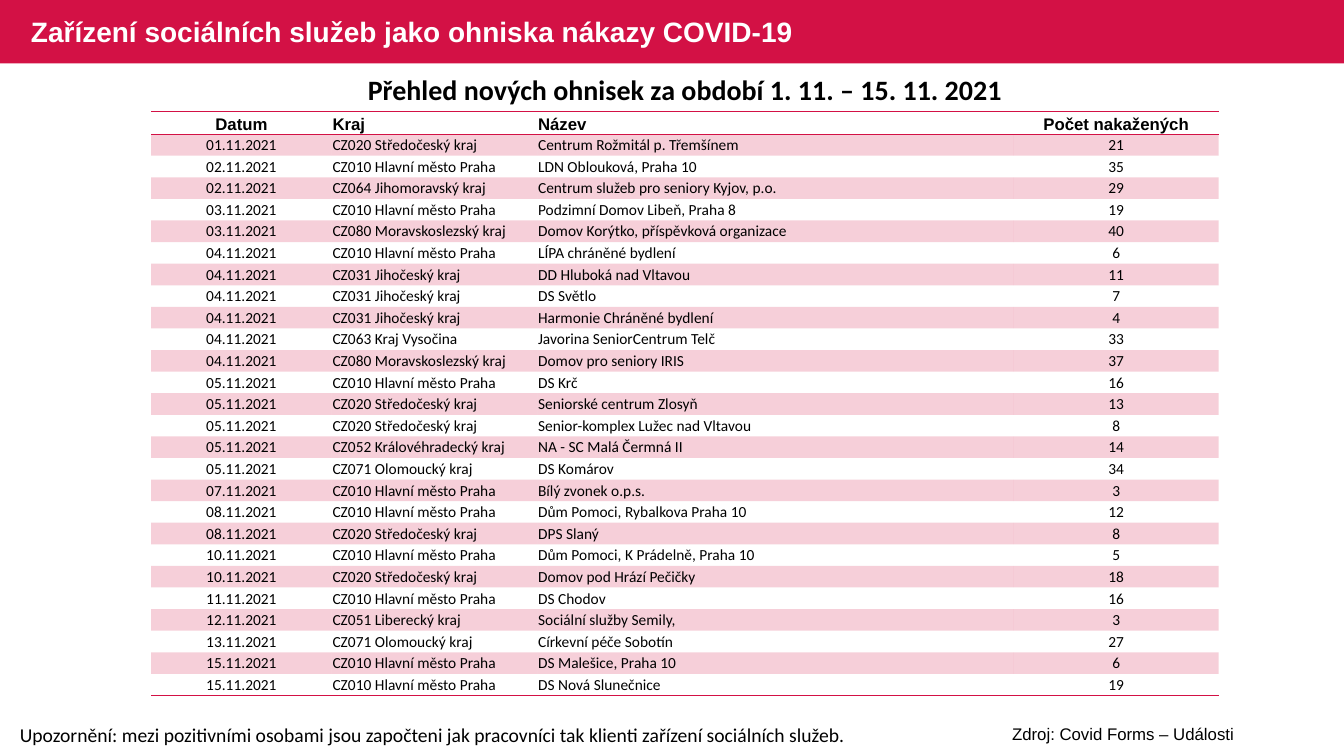
from lxml import etree
from pptx import Presentation
from pptx.dml.color import RGBColor
from pptx.enum import shapes, text
from pptx.oxml import ns
from pptx.util import Cm, Pt

CRIMSON = RGBColor(0xD3, 0x11, 0x45)
WHITE = RGBColor(0xFF, 0xFF, 0xFF)
BLACK = RGBColor(0x00, 0x00, 0x00)

LEFT, CENTER = text.PP_ALIGN.LEFT, text.PP_ALIGN.CENTER
TOP, MIDDLE, BOTTOM = text.MSO_ANCHOR.TOP, text.MSO_ANCHOR.MIDDLE, text.MSO_ANCHOR.BOTTOM

PLAIN_TABLE_STYLE = "{2D5ABB26-0587-4C30-8999-92F81FD0307C}"
BAND_OPACITY = 20
COLUMN_WIDTHS = (4.55, 5.18, 12.01, 5.16)
COLUMN_ALIGNS = (CENTER, LEFT, LEFT, CENTER)
HEADER_HEIGHT = 0.58
TABLE_HEIGHT = 14.73

HEADERS = ("Datum", "Kraj", "Název", "Počet nakažených")
OUTBREAKS = (
    ("01.11.2021", "CZ020 Středočeský kraj", "Centrum Rožmitál p. Třemšínem", 21),
    ("02.11.2021", "CZ010 Hlavní město Praha", "LDN Oblouková, Praha 10", 35),
    ("02.11.2021", "CZ064 Jihomoravský kraj", "Centrum služeb pro seniory Kyjov, p.o.", 29),
    ("03.11.2021", "CZ010 Hlavní město Praha", "Podzimní Domov Libeň, Praha 8", 19),
    ("03.11.2021", "CZ080 Moravskoslezský kraj", "Domov Korýtko, příspěvková organizace", 40),
    ("04.11.2021", "CZ010 Hlavní město Praha", "LÍPA chráněné bydlení", 6),
    ("04.11.2021", "CZ031 Jihočeský kraj", "DD Hluboká nad Vltavou", 11),
    ("04.11.2021", "CZ031 Jihočeský kraj", "DS Světlo", 7),
    ("04.11.2021", "CZ031 Jihočeský kraj", "Harmonie Chráněné bydlení", 4),
    ("04.11.2021", "CZ063 Kraj Vysočina", "Javorina SeniorCentrum Telč", 33),
    ("04.11.2021", "CZ080 Moravskoslezský kraj", "Domov pro seniory IRIS", 37),
    ("05.11.2021", "CZ010 Hlavní město Praha", "DS Krč", 16),
    ("05.11.2021", "CZ020 Středočeský kraj", "Seniorské centrum Zlosyň", 13),
    ("05.11.2021", "CZ020 Středočeský kraj", "Senior-komplex Lužec nad Vltavou", 8),
    ("05.11.2021", "CZ052 Královéhradecký kraj", "NA - SC Malá Čermná II", 14),
    ("05.11.2021", "CZ071 Olomoucký kraj", "DS Komárov", 34),
    ("07.11.2021", "CZ010 Hlavní město Praha", "Bílý zvonek o.p.s.", 3),
    ("08.11.2021", "CZ010 Hlavní město Praha", "Dům Pomoci, Rybalkova Praha 10", 12),
    ("08.11.2021", "CZ020 Středočeský kraj", "DPS Slaný", 8),
    ("10.11.2021", "CZ010 Hlavní město Praha", "Dům Pomoci, K Prádelně, Praha 10", 5),
    ("10.11.2021", "CZ020 Středočeský kraj", "Domov pod Hrází Pečičky", 18),
    ("11.11.2021", "CZ010 Hlavní město Praha", "DS Chodov", 16),
    ("12.11.2021", "CZ051 Liberecký kraj", "Sociální služby Semily,", 3),
    ("13.11.2021", "CZ071 Olomoucký kraj", "Církevní péče Sobotín", 27),
    ("15.11.2021", "CZ010 Hlavní město Praha", "DS Malešice, Praha 10", 6),
    ("15.11.2021", "CZ010 Hlavní město Praha", "DS Nová Slunečnice", 19),
)


def format_text(para, font_name, size, color=BLACK, bold=False, align=LEFT):
    para.alignment = align
    for span in para.runs:
        span.font.name = font_name
        span.font.size = Pt(size)
        span.font.bold = bold
        span.font.color.rgb = color


def add_label(page, wording, left, top, width, height, anchor=TOP, **style):
    box = page.shapes.add_textbox(Cm(left), Cm(top), Cm(width), Cm(height))
    frame = box.text_frame
    frame.word_wrap = True
    frame.vertical_anchor = anchor
    frame.text = wording
    format_text(frame.paragraphs[0], **style)
    return box


def add_title_bar(page, width):
    bar = page.shapes.add_shape(shapes.MSO_SHAPE.RECTANGLE, 0, 0, width, Cm(1.6))
    bar.shadow.inherit = False
    bar.fill.solid()
    bar.fill.fore_color.rgb = CRIMSON
    bar.line.fill.background()


def add_border(cell, side):
    """Draw a 1 pt line on one side, "T" or "B"; call before filling the cell."""
    line = etree.SubElement(cell._tc.get_or_add_tcPr(), ns.qn(f"a:ln{side}"), w=str(Pt(1)))
    fill = etree.SubElement(line, ns.qn("a:solidFill"))
    etree.SubElement(fill, ns.qn("a:srgbClr"), val=str(CRIMSON))


def fill_band(cell):
    cell.fill.solid()
    cell.fill.fore_color.rgb = CRIMSON
    color = cell._tc.tcPr.find(".//" + ns.qn("a:srgbClr"))
    etree.SubElement(color, ns.qn("a:alpha"), val=str(BAND_OPACITY * 1000))


def fill_cell(cell, value, align, is_header, is_band, borders):
    cell.margin_left = cell.margin_right = Cm(0.02)
    cell.margin_top = Cm(0 if is_header else 0.02)
    cell.margin_bottom = 0
    cell.vertical_anchor = BOTTOM if is_header else MIDDLE
    cell.text = str(value)
    font_name, size = ("Arial", 12) if is_header else ("Calibri", 11)
    format_text(cell.text_frame.paragraphs[0], font_name, size, bold=is_header, align=align)
    for side in borders:
        add_border(cell, side)
    if is_band:
        fill_band(cell)
    else:
        cell.fill.background()


def add_outbreak_table(page):
    rows = (HEADERS, *OUTBREAKS)
    frame = page.shapes.add_table(len(rows), len(HEADERS), Cm(3.81), Cm(2.8),
                                  Cm(sum(COLUMN_WIDTHS)), Cm(TABLE_HEIGHT))
    table = frame.table
    table.first_row = table.horz_banding = False
    table._tbl.tblPr.find(ns.qn("a:tableStyleId")).text = PLAIN_TABLE_STYLE
    for column, width in zip(table.columns, COLUMN_WIDTHS):
        column.width = Cm(width)
    body_height = (TABLE_HEIGHT - HEADER_HEIGHT) / len(OUTBREAKS)
    for index, values in enumerate(rows):
        is_header = index == 0
        table.rows[index].height = Cm(HEADER_HEIGHT if is_header else body_height)
        borders = "TB" if is_header else "B" if index == len(OUTBREAKS) else ""
        for cell, value, align in zip(table.rows[index].cells, values, COLUMN_ALIGNS):
            fill_cell(cell, value, align, is_header, index % 2 == 1, borders)


def main():
    deck = Presentation()
    deck.slide_width, deck.slide_height = Cm(33.87), Cm(19.05)
    page = deck.slides.add_slide(deck.slide_layouts[6])
    add_title_bar(page, deck.slide_width)
    add_label(page, "Upozornění: mezi pozitivními osobami jsou započteni jak pracovníci "
              "tak klienti zařízení sociálních služeb.",
              0.25, 18.08, 21.64, 0.86, font_name="Calibri", size=14)
    add_label(page, "Přehled nových ohnisek za období 1. 11. – 15. 11. 2021",
              1.35, 1.7, 31.83, 1.12, font_name="Calibri", size=20, bold=True, align=CENTER)
    title = add_label(page, "Zařízení sociálních služeb jako ohniska nákazy COVID-19",
                      0.53, 0.05, 20.65, 1.6, anchor=MIDDLE,
                      font_name="Arial", size=20, color=WHITE, bold=True)
    title.text_frame.paragraphs[0].line_spacing = 0.9
    add_label(page, "Zdroj: Covid Forms – Události",
              23.01, 18.11, 10.59, 0.76, font_name="Arial", size=12, align=CENTER)
    add_outbreak_table(page)
    deck.save("out.pptx")


if __name__ == "__main__":
    main()
